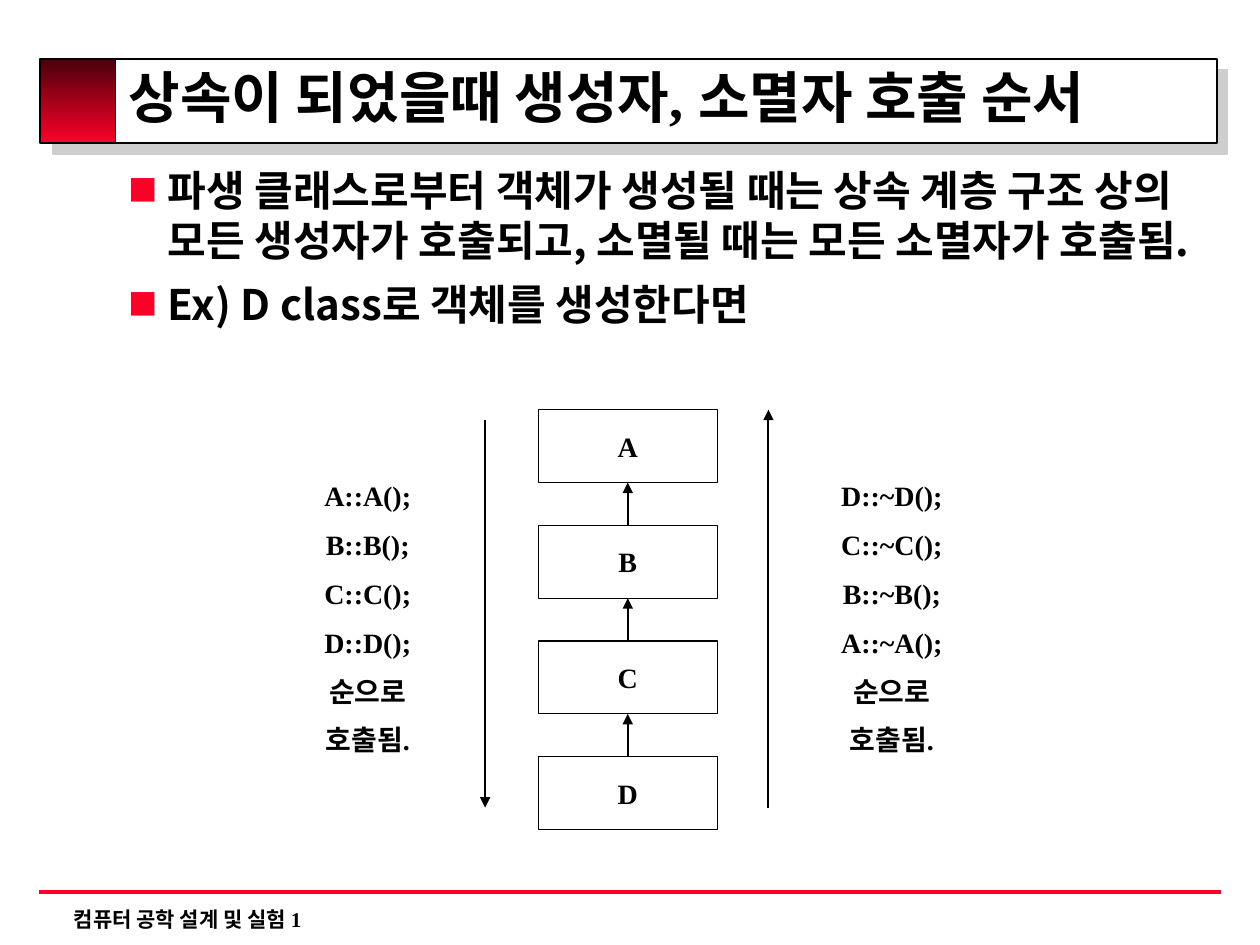
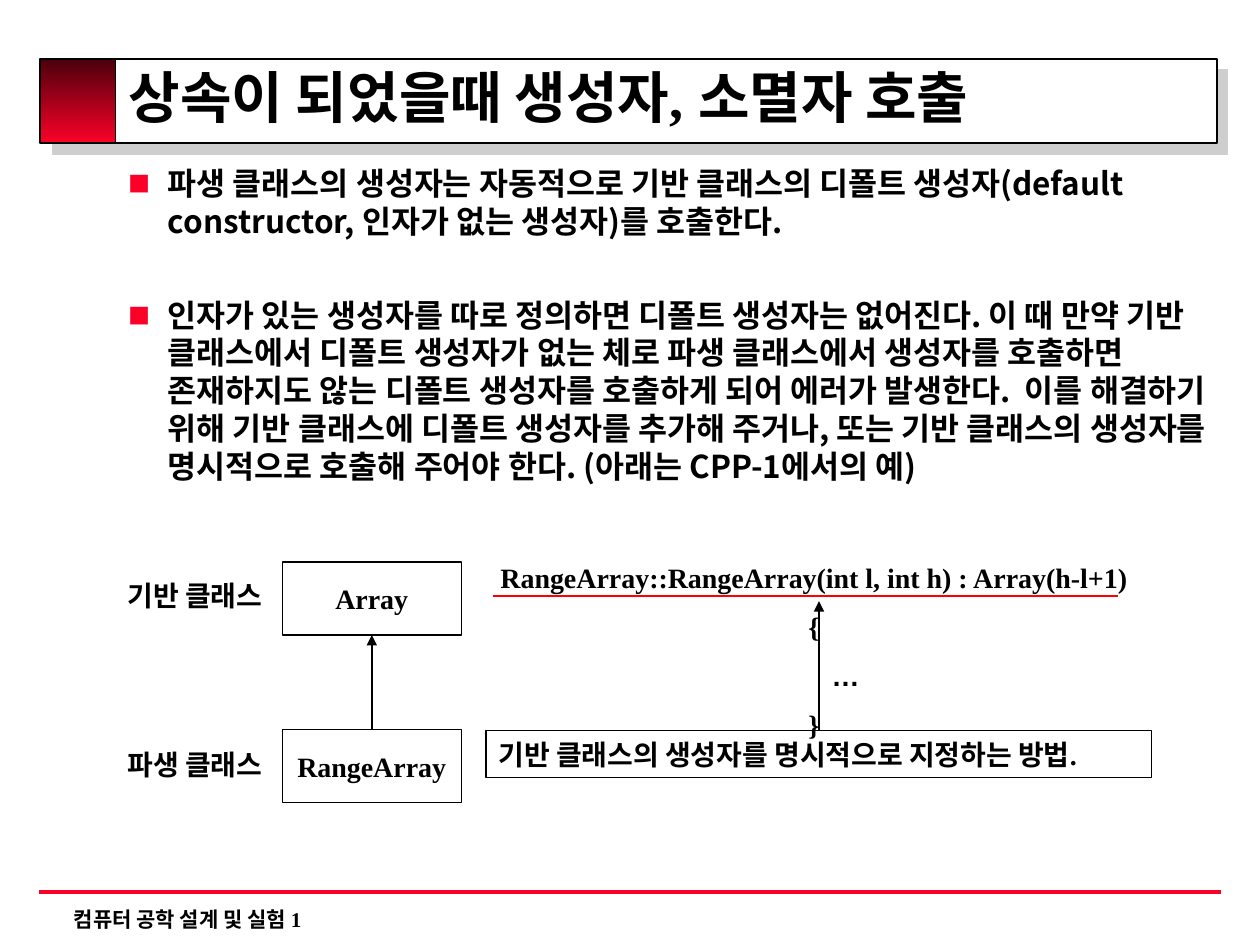
from dataclasses import dataclass
from typing import NamedTuple

from lxml import etree
from pptx import Presentation
from pptx.dml.color import RGBColor
from pptx.enum.shapes import MSO_CONNECTOR, MSO_SHAPE
from pptx.enum.text import MSO_ANCHOR, MSO_AUTO_SIZE, PP_ALIGN
from pptx.oxml.ns import qn
from pptx.shapes.autoshape import Shape
from pptx.slide import Slide
from pptx.text.text import TextFrame
from pptx.util import Cm, Pt

RECTANGLE = MSO_SHAPE.RECTANGLE
STRAIGHT = MSO_CONNECTOR.STRAIGHT
LEFT, CENTER = PP_ALIGN.LEFT, PP_ALIGN.CENTER
TOP, MIDDLE = MSO_ANCHOR.TOP, MSO_ANCHOR.MIDDLE
NO_FIT, GROW = MSO_AUTO_SIZE.NONE, MSO_AUTO_SIZE.SHAPE_TO_FIT_TEXT


@dataclass(frozen=True)
class Theme:
    black: str = "000000"
    white: str = "FFFFFF"
    accent: str = "FC0128"
    accent_dark: str = "4A000B"
    underline: str = "FF0000"
    shadow: str = "CECECE"
    serif: str = "Times New Roman"
    sans: str = "Noto Sans CJK KR"
    ellipsis_font: str = "Arial"
    title_size: float = 32
    label_size: float = 16
    footer_size: float = 12
    label_gap: float = 8.7
    body_leading: float = 1.2


THEME = Theme()


class Area(NamedTuple):
    """Left, top, width and height in centimetres."""
    left: float
    top: float
    width: float
    height: float

    @property
    def center(self) -> float:
        return self.left + self.width / 2

    @property
    def bottom(self) -> float:
        return self.top + self.height


class Line(NamedTuple):
    """Start and end in centimetres, width in points."""
    x1: float
    y1: float
    x2: float
    y2: float
    width: float = 1.25
    color: str = THEME.black
    arrow: bool = True


class Column(NamedTuple):
    area: Area
    lines: list[str]


class BodyText(NamedTuple):
    size: float
    gap: float
    items: list[str]


# Places shared by the slides
BAND = Area(0.86, 1.19, 23.67, 1.7)
MARKER = Area(0.81, 1.19, 1.52, 1.7)
TITLE = Area(2.34, 1.12, 22.28, 1.9)
BODY = Area(2.34, 3.18, 22.28, 13.49)
FOOTER = Area(1.24, 18.16, 16.97, 0.76)
FOOTER_RULE = Line(0.79, 17.98, 24.61, 17.98, 2.25, THEME.accent, False)
FOOTER_TEXT = "컴퓨터 공학 설계 및 실험 1"
BOX_WIDTH, BOX_HEIGHT = 3.61, 1.47


def rgb(color: str) -> RGBColor:
    return RGBColor.from_string(color)


def lengths(area: Area) -> list[Cm]:
    return [Cm(value) for value in area]


def add_outer_shadow(properties, distance: float) -> None:
    """Add a diagonal shadow; the distance is in points."""
    effects = etree.SubElement(properties, qn("a:effectLst"))
    shadow = etree.SubElement(effects, qn("a:outerShdw"), blurRad="0",
                              dist=str(Pt(distance)), dir="2700000", algn="ctr", rotWithShape="0")
    etree.SubElement(shadow, qn("a:srgbClr"), val=THEME.shadow)


def write_paragraphs(frame: TextFrame, lines: list[str], size: float, font: str,
                     align: PP_ALIGN, gap: float = 0) -> None:
    for index, line in enumerate(lines):
        paragraph = frame.add_paragraph() if index else frame.paragraphs[0]
        paragraph.text = line
        paragraph.alignment = align
        paragraph.space_before = Pt(gap)
        paragraph.font.name = font
        paragraph.font.size = Pt(size)
        paragraph.font.bold = True
        paragraph.font.color.rgb = rgb(THEME.black)


def add_rectangle(slide: Slide, area: Area, line_width: float) -> Shape:
    shape = slide.shapes.add_shape(RECTANGLE, *lengths(area))
    shape.shadow.inherit = False
    shape.fill.solid()
    shape.fill.fore_color.rgb = rgb(THEME.white)
    shape.line.color.rgb = rgb(THEME.black)
    shape.line.width = Pt(line_width)
    return shape


def add_box(slide: Slide, area: Area, label: str, align: PP_ALIGN = CENTER) -> Shape:
    shape = add_rectangle(slide, area, 0.75)
    shape.text_frame.word_wrap = False
    shape.text_frame.vertical_anchor = MIDDLE
    write_paragraphs(shape.text_frame, [label], THEME.label_size, THEME.serif, align)
    return shape


def add_text(slide: Slide, area: Area, lines: list[str], size: float = THEME.label_size,
             align: PP_ALIGN = CENTER, wrap: bool = False) -> TextFrame:
    frame = slide.shapes.add_textbox(*lengths(area)).text_frame
    frame.word_wrap = wrap
    frame.auto_size = GROW
    write_paragraphs(frame, lines, size, THEME.serif, align, THEME.label_gap)
    return frame


def add_line(slide: Slide, line: Line) -> None:
    connector = slide.shapes.add_connector(
        STRAIGHT, Cm(line.x1), Cm(line.y1), Cm(line.x2), Cm(line.y2))
    connector.line.color.rgb = rgb(line.color)
    connector.line.width = Pt(line.width)
    if line.arrow:
        etree.SubElement(connector.line._get_or_add_ln(), qn("a:tailEnd"), type="triangle")
    etree.SubElement(connector._element.spPr, qn("a:effectLst"))


def place(placeholder: Shape, area: Area, anchor: MSO_ANCHOR) -> TextFrame:
    placeholder.left, placeholder.top, placeholder.width, placeholder.height = lengths(area)
    frame = placeholder.text_frame
    frame.auto_size = NO_FIT
    frame.word_wrap = True
    frame.vertical_anchor = anchor
    return frame


def add_frame(slide: Slide) -> None:
    """Draw the title band and the footer."""
    band = add_rectangle(slide, BAND, 1)
    band.shadow.inherit = True
    add_outer_shadow(band._element.spPr, 8.5)
    marker = add_rectangle(slide, MARKER, 1)
    marker.fill.gradient()
    marker.fill.gradient_angle = 270
    for stop, color in zip(marker.fill.gradient_stops, (THEME.accent_dark, THEME.accent)):
        stop.color.rgb = rgb(color)
    add_text(slide, FOOTER, [FOOTER_TEXT], THEME.footer_size, LEFT, wrap=True)
    add_line(slide, FOOTER_RULE)


def set_title(slide: Slide, text: str) -> None:
    title = slide.shapes.title
    frame = place(title, TITLE, MIDDLE)
    write_paragraphs(frame, [text], THEME.title_size, THEME.serif, LEFT)
    paragraph = frame.paragraphs[0]
    paragraph.line_spacing = 0.8
    add_outer_shadow(paragraph.runs[0]._r.get_or_add_rPr(), 3)
    slide.shapes._spTree.append(title._element)  # in front of the band


def set_body(slide: Slide, body: BodyText) -> None:
    frame = place(slide.placeholders[1], BODY, TOP)
    write_paragraphs(frame, body.items, body.size, THEME.sans, LEFT, body.gap)
    for paragraph in frame.paragraphs:
        paragraph.line_spacing = Pt(body.size * THEME.body_leading)
        properties = paragraph._p.get_or_add_pPr()
        properties.set("marL", str(Cm(0.79)))
        properties.set("indent", str(Cm(-0.79)))
        defaults = properties.find(qn("a:defRPr"))
        color = etree.Element(qn("a:buClr"))
        etree.SubElement(color, qn("a:srgbClr"), val=THEME.accent)
        defaults.addprevious(color)
        for tag, name, value in (("a:buSzPct", "val", "70000"),
                                 ("a:buFont", "typeface", THEME.sans),
                                 ("a:buChar", "char", "■")):
            bullet = etree.Element(qn(tag))
            bullet.set(name, value)
            defaults.addprevious(bullet)


def add_content_slide(presentation: Presentation, title: str, body: BodyText) -> Slide:
    slide = presentation.slides.add_slide(presentation.slide_layouts[1])
    add_frame(slide)
    set_title(slide, title)
    set_body(slide, body)
    return slide


def add_inheritance(slide: Slide, left: float, top: float, pitch: float,
                    names: list[str]) -> None:
    """Stack class boxes, each with an arrow up to its base class."""
    boxes = [Area(left, top + index * pitch, BOX_WIDTH, BOX_HEIGHT)
             for index in range(len(names))]
    for box, name in zip(boxes, names):
        add_box(slide, box, name)
    for base, derived in zip(boxes, boxes[1:]):
        add_line(slide, Line(derived.center, derived.top, base.center, base.bottom))


def build_call_order(presentation: Presentation) -> None:
    slide = add_content_slide(
        presentation, "상속이 되었을때 생성자, 소멸자 호출 순서",
        BodyText(24, 7.5, [
            "파생 클래스로부터 객체가 생성될 때는 상속 계층 구조 상의 모든 생성자가 호출되고, "
            "소멸될 때는 모든 소멸자가 호출됨.",
            "Ex) D class로 객체를 생성한다면"]))
    classes = ["A", "B", "C", "D"]
    add_inheritance(slide, 10.85, 8.26, 2.33, classes)

    # Constructors run downwards, destructors upwards
    add_line(slide, Line(9.78, 8.46, 9.78, 16.28))
    add_line(slide, Line(15.49, 16.28, 15.49, 8.26))
    ending = ["순으로", "호출됨."]
    columns = [
        Column(Area(6.12, 9.53, 2.59, 4.83), [f"{name}::{name}();" for name in classes]),
        Column(Area(16.48, 9.53, 3, 4.83), [f"{name}::~{name}();" for name in reversed(classes)]),
    ]
    for column in columns:
        add_text(slide, column.area, column.lines + ending)


def build_explicit_call(presentation: Presentation) -> None:
    slide = add_content_slide(
        presentation, "상속이 되었을때 생성자, 소멸자 호출",
        BodyText(18, 32, [
            "파생 클래스의 생성자는 자동적으로 기반 클래스의 디폴트 생성자(default constructor, "
            "인자가 없는 생성자)를 호출한다.",
            "인자가 있는 생성자를 따로 정의하면 디폴트 생성자는 없어진다. 이 때 만약 기반 클래스에서 "
            "디폴트 생성자가 없는 체로 파생 클래스에서 생성자를 호출하면 존재하지도 않는 디폴트 "
            "생성자를 호출하게 되어 에러가 발생한다.  이를 해결하기 위해 기반 클래스에 디폴트 "
            "생성자를 추가해 주거나, 또는 기반 클래스의 생성자를 명시적으로 호출해 주어야 한다. "
            "(아래는 CPP-1에서의 예)"]))

    # Constructor code
    code = add_text(slide, Area(9.5, 11.18, 13.82, 2.97),
                    ["RangeArray::RangeArray(int l, int h) : Array(h-l+1)", "{", "\t…", "}"],
                    wrap=True)
    code.paragraphs[2].font.name = THEME.ellipsis_font

    # Class diagram and its labels
    add_inheritance(slide, 5.69, 11.33, 3.38, ["Array", "RangeArray"])
    for top, label in ((11.53, "기반 클래스"), (14.94, "파생 클래스")):
        add_text(slide, Area(1.96, top, 3.94, 1.02), [label])

    # Note pointing at the underlined call
    note = add_box(slide, Area(9.8, 14.73, 13.41, 0.94),
                   "기반 클래스의 생성자를 명시적으로 지정하는 방법.", LEFT)
    note.fill.background()
    note.text_frame.word_wrap = True
    add_line(slide, Line(9.93, 12.01, 22.53, 12.01, 1, THEME.underline, False))
    add_line(slide, Line(16.51, 14.73, 16.51, 12.12, 1))


def main() -> None:
    presentation = Presentation()
    presentation.slide_width, presentation.slide_height = Cm(25.4), Cm(19.05)
    build_call_order(presentation)
    build_explicit_call(presentation)
    presentation.save("out.pptx")


if __name__ == "__main__":
    main()
